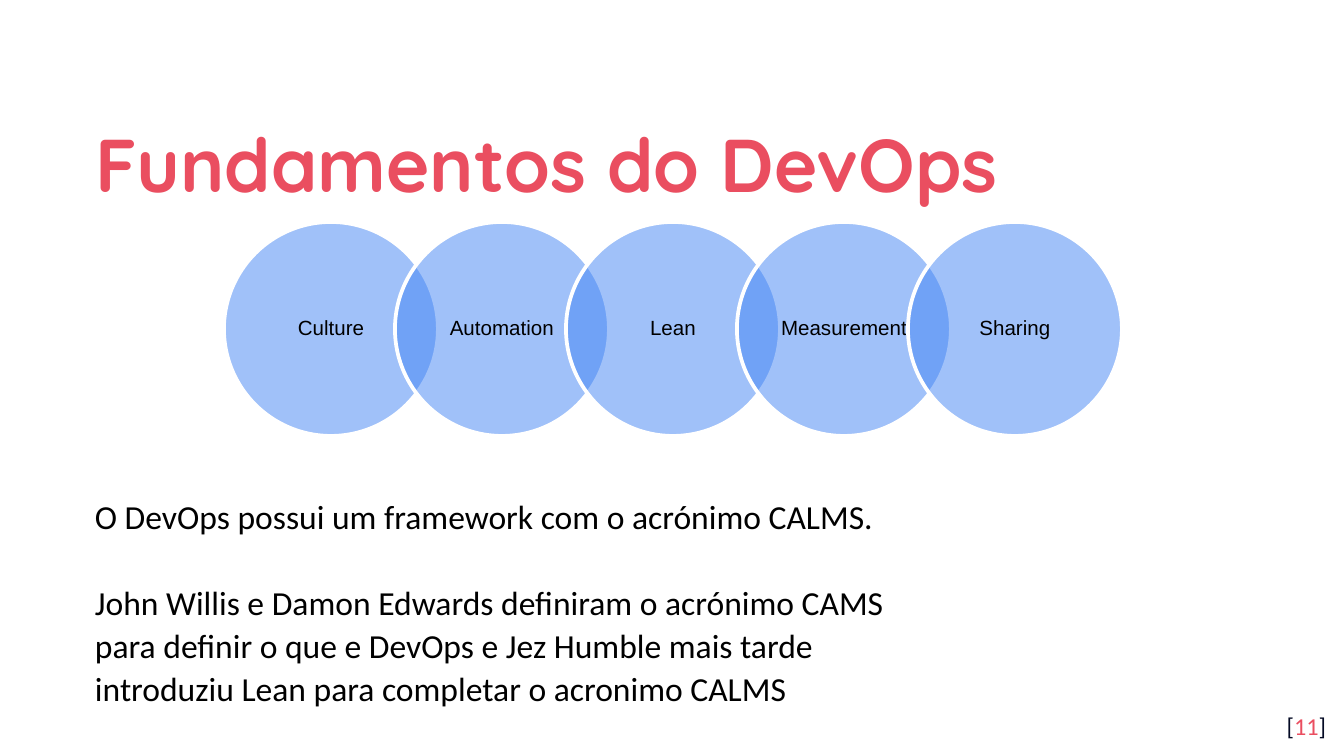
"""Builds the slide on the CALMS foundations of DevOps."""
from lxml import etree
from pptx import Presentation
from pptx import util as u
from pptx.dml.color import RGBColor
from pptx.enum import shapes, text
from pptx.oxml.ns import qn

PX = 914400 / 134.4
RED = RGBColor(0xEA, 0x4E, 0x60)
NAVY = RGBColor(0x04, 0x0A, 0x24)
BLUE = RGBColor(0x42, 0x85, 0xF4)
BLACK = RGBColor(0, 0, 0)
WHITE = RGBColor(255, 255, 255)

TITLE = "Fundamentos do DevOps"
PILLARS = ["Culture", "Automation", "Lean", "Measurement", "Sharing"]
BODY = [
    "O DevOps possui um framework com o acrónimo CALMS.",
    "John Willis e Damon Edwards definiram o acrónimo CAMS para definir o que e "
    "DevOps e Jez Humble mais tarde introduziu Lean para completar o acronimo CALMS",
]
BODY_GAPS = [23, 8]
PAGE_NUMBER = [("[", NAVY), ("11", RED), ("]", NAVY)]

CIRCLES_LEFT, CIRCLES_TOP = 224, 222
CIRCLE_SIZE, CIRCLE_STEP = 214, 171
LABEL_SIZE = 151


def px(length):
    return u.Emu(round(length * PX))


def box(left, top, width, height):
    return [px(length) for length in (left, top, width, height)]


def add_text(parent, place, paragraphs, font, size, bold=False, spacing=None, gaps=(),
             align=text.PP_ALIGN.LEFT, anchor=text.MSO_ANCHOR.MIDDLE, insets=(13, 13)):
    frame = parent.add_textbox(*box(*place)).text_frame
    frame.word_wrap = True
    frame.vertical_anchor = anchor
    frame.margin_left = frame.margin_right = px(insets[0])
    frame.margin_top = frame.margin_bottom = px(insets[1])
    for index, runs in enumerate(paragraphs):
        paragraph = frame.add_paragraph() if index else frame.paragraphs[0]
        paragraph.alignment = align
        paragraph.line_spacing = spacing
        if gaps:
            paragraph.space_after = u.Pt(gaps[index])
        for words, color in runs:
            run = paragraph.add_run()
            run.text = words
            run.font.name = font
            run.font.size = u.Pt(size)
            run.font.bold = bold
            run.font.color.rgb = color


def add_circle(parent, left):
    circle = parent.add_shape(shapes.MSO_SHAPE.OVAL,
                              *box(left, CIRCLES_TOP, CIRCLE_SIZE, CIRCLE_SIZE))
    circle.shadow.inherit = False
    circle.fill.solid()
    circle.fill.fore_color.rgb = BLUE
    color = circle.fill._xPr.find(qn("a:solidFill"))[0]
    etree.SubElement(color, qn("a:alpha"), val="50000")
    circle.line.color.rgb = WHITE
    circle.line.width = u.Pt(2)


def main():
    presentation = Presentation()
    presentation.slide_width, presentation.slide_height = px(1344), px(756)
    slide = presentation.slides.add_slide(presentation.slide_layouts[6])

    add_text(slide.shapes, (83, 94, 1179, 124), [[(TITLE, RED)]], "Quicksand", 40,
             bold=True, spacing=1.15)
    add_text(slide.shapes, (1258, 698, 81, 58), [PAGE_NUMBER], "Calibri", 13,
             align=text.PP_ALIGN.RIGHT, anchor=text.MSO_ANCHOR.TOP)

    diagram = slide.shapes.add_group_shape().shapes
    inset = (CIRCLE_SIZE - LABEL_SIZE) / 2
    for index, pillar in enumerate(PILLARS):
        left = CIRCLES_LEFT + index * CIRCLE_STEP
        add_circle(diagram, left)
        add_text(diagram, (left + inset, CIRCLES_TOP + inset, LABEL_SIZE, LABEL_SIZE),
                 [[(pillar, BLACK)]], "Arial", 11, spacing=0.9,
                 align=text.PP_ALIGN.CENTER, insets=(12, 3))

    add_text(slide.shapes, (82, 485, 857, 231), [[(words, BLACK)] for words in BODY],
             "Calibri", 18, spacing=1.07, gaps=BODY_GAPS)
    presentation.save("out.pptx")


if __name__ == "__main__":
    main()
